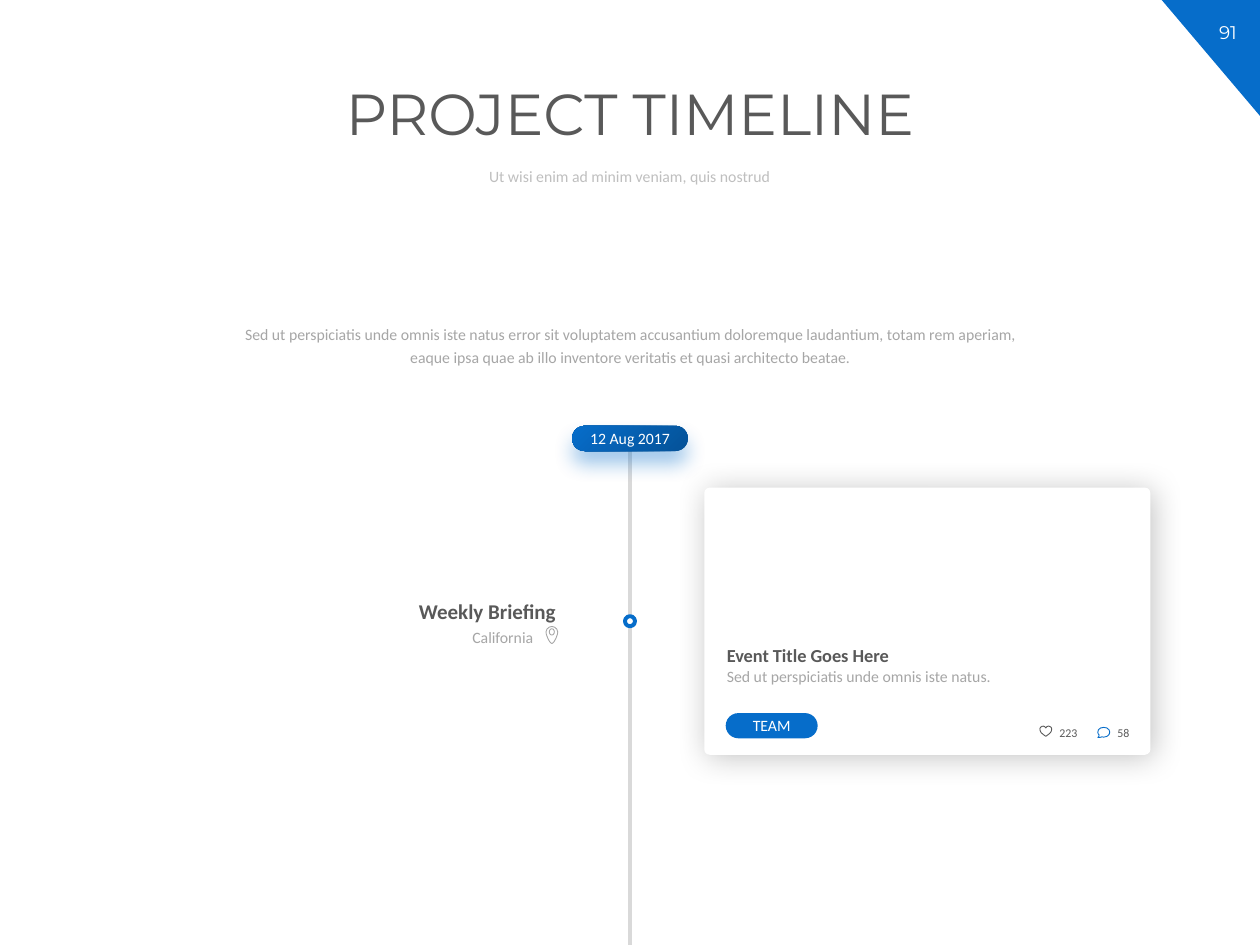
from lxml import etree
from pptx import Presentation
from pptx import util as u
from pptx.dml.color import RGBColor
from pptx.enum import shapes, text
from pptx.oxml import parse_xml
from pptx.oxml.ns import nsdecls, qn

BLUE = RGBColor(0x06, 0x6D, 0xCA)
NAVY = RGBColor(0x05, 0x52, 0x98)
WHITE = RGBColor(0xFF, 0xFF, 0xFF)
DARK = RGBColor(0x59, 0x59, 0x59)
GREY = RGBColor(0xA6, 0xA6, 0xA6)
SILVER = RGBColor(0xBF, 0xBF, 0xBF)
RAIL = RGBColor(0xD9, 0xD9, 0xD9)
LEFT, CENTER, RIGHT = text.PP_ALIGN.LEFT, text.PP_ALIGN.CENTER, text.PP_ALIGN.RIGHT
TOP, MIDDLE = text.MSO_ANCHOR.TOP, text.MSO_ANCHOR.MIDDLE
KIND = shapes.MSO_SHAPE

deck = Presentation()
deck.slide_width, deck.slide_height = u.Inches(10), u.Inches(7.5)
slide = deck.slides.add_slide(deck.slide_layouts[6])


def add_box(kind, box, fill, corner=None):
    shape = slide.shapes.add_shape(kind, *map(u.Inches, box))
    shape.shadow.inherit = False
    shape.fill.solid()
    shape.fill.fore_color.rgb = fill
    shape.line.fill.background()
    if corner is not None:
        shape.adjustments[0] = corner
    return shape


def write(shape, words, size, color, align=CENTER, bold=None, font="Calibri",
          spacing=None, anchor=TOP):
    frame = shape.text_frame
    frame.word_wrap = True
    frame.vertical_anchor = anchor
    line = frame.paragraphs[0]
    line.alignment = align
    line.line_spacing = spacing
    run = line.add_run()
    run.text = words
    run.font.name = font
    run.font.size = u.Pt(size)
    run.font.bold = bold
    run.font.color.rgb = color


corner = add_box(KIND.RIGHT_TRIANGLE, (9.22, 0, 0.78, 0.92), BLUE)
corner.rotation = 180
card = add_box(KIND.ROUNDED_RECTANGLE, (5.59, 3.87, 3.54, 2.12), WHITE, 0.02)

captions = [
    ((9.49, 0.12, 0.51, 0.28), "91", 10.5, WHITE, CENTER, None, "Montserrat"),
    ((0.57, 0.63, 8.86, 0.73), "PROJECT TIMELINE", 33, DARK, CENTER, None, "Montserrat", 0.9),
    ((1.39, 1.28, 7.21, 0.26), "Ut wisi enim ad minim veniam, quis nostrud", 9, SILVER,
     CENTER, None, "Calibri", 0.9, MIDDLE),
    ((5.67, 5.06, 3.38, 0.28), "Event Title Goes Here", 10.5, DARK, LEFT, True),
    ((5.67, 5.24, 3.38, 0.25), "Sed ut perspiciatis unde omnis iste natus.", 9, GREY, LEFT),
    ((8.31, 5.71, 0.36, 0.21), "223", 6.8, DARK, LEFT),
    ((8.77, 5.71, 0.36, 0.21), "58", 6.8, DARK, LEFT),
    ((2.47, 4.7, 2.04, 0.3), "Weekly Briefing", 12, DARK, RIGHT, True),
    ((2.5, 4.93, 1.83, 0.25), "California", 9, GREY, RIGHT),
    ((1.81, 2.5, 6.38, 0.46),
     "Sed ut perspiciatis unde omnis iste natus error sit voluptatem accusantium doloremque "
     "laudantium, totam rem aperiam, eaque ipsa quae ab illo inventore veritatis et quasi "
     "architecto beatae.", 9, GREY, CENTER, None, "Calibri", 1.2),
]
for box, *style in captions:
    write(slide.shapes.add_textbox(*map(u.Inches, box)), *style)

team = add_box(KIND.ROUNDED_RECTANGLE, (5.76, 5.66, 0.73, 0.2), BLUE, 0.5)
write(team, "TEAM", 9, WHITE, anchor=MIDDLE)

heart = [(50, 18), (42, 8), (30, 3), (18, 6), (8, 13), (3, 24), (5, 40), (13, 55), (30, 70),
         (50, 84), (70, 70), (87, 55), (95, 40), (97, 24), (92, 13), (82, 6), (70, 3), (58, 8)]
bubble = [(3, 83), (11, 76), (13, 63), (5, 53), (3, 42), (8, 22), (25, 8), (50, 3), (75, 8),
          (92, 22), (98, 42), (92, 61), (75, 75), (50, 81), (36, 78), (20, 83)]
pin = [(50, 2), (30, 7), (12, 22), (3, 45), (6, 64), (16, 92), (31, 121), (43, 134), (50, 137),
       (57, 134), (69, 121), (84, 92), (94, 64), (97, 45), (88, 22), (70, 7)]
for outline, left, top, color in [(heart, 8.25, 5.76, DARK), (bubble, 8.71, 5.77, BLUE),
                                  (pin, 4.33, 4.97, GREY)]:
    builder = slide.shapes.build_freeform(*outline[0], scale=u.Inches(0.001))
    builder.add_line_segments(outline[1:], close=True)
    icon = builder.convert_to_shape(u.Inches(left), u.Inches(top))
    icon.shadow.inherit = False
    icon.fill.background()
    icon.line.color.rgb = color
    icon.line.width = u.Pt(0.5)

pin_hole = add_box(KIND.OVAL, (4.36, 4.99, 0.04, 0.05), WHITE)
pin_hole.line.color.rgb = GREY
pin_hole.line.width = u.Pt(0.5)

rail = slide.shapes.add_connector(shapes.MSO_CONNECTOR.STRAIGHT, u.Inches(5), u.Inches(3.58),
                                  u.Inches(5), u.Inches(7.5))
rail.line.color.rgb = RAIL
rail.line.width = u.Pt(2.25)
etree.SubElement(rail._element.spPr, qn("a:effectLst"))

milestone = add_box(KIND.OVAL, (4.96, 4.89, 0.08, 0.08), WHITE)
milestone.line.color.rgb = BLUE
milestone.line.width = u.Pt(2.25)

date = add_box(KIND.ROUNDED_RECTANGLE, (4.54, 3.38, 0.92, 0.2), BLUE, 0.5)
date.fill.gradient()
for stop, color, position in zip(date.fill.gradient_stops, (BLUE, NAVY), (0, 1)):
    stop.color.rgb = color
    stop.position = position
gradient = date._element.spPr.find(qn("a:gradFill"))
gradient.replace(gradient.find(qn("a:lin")), parse_xml(
    f'<a:path {nsdecls("a")} path="circle"><a:fillToRect r="100000" b="100000"/></a:path>'))
write(date, "12 Aug 2017", 9, WHITE, anchor=MIDDLE)
rail.begin_connect(date, 2)

for shape, color, alpha, blur, distance, angle in [(card, "000000", 24, 18, 2, 45),
                                                   (date, BLUE, 40, 12, 7, 90)]:
    shape._element.spPr.find(qn("a:effectLst")).append(parse_xml(
        f'<a:outerShdw {nsdecls("a")} blurRad="{u.Pt(blur)}" dist="{u.Pt(distance)}" '
        f'dir="{angle * 60000}" rotWithShape="0"><a:srgbClr val="{color}">'
        f'<a:alpha val="{alpha * 1000}"/></a:srgbClr></a:outerShdw>'))

deck.save("out.pptx")
